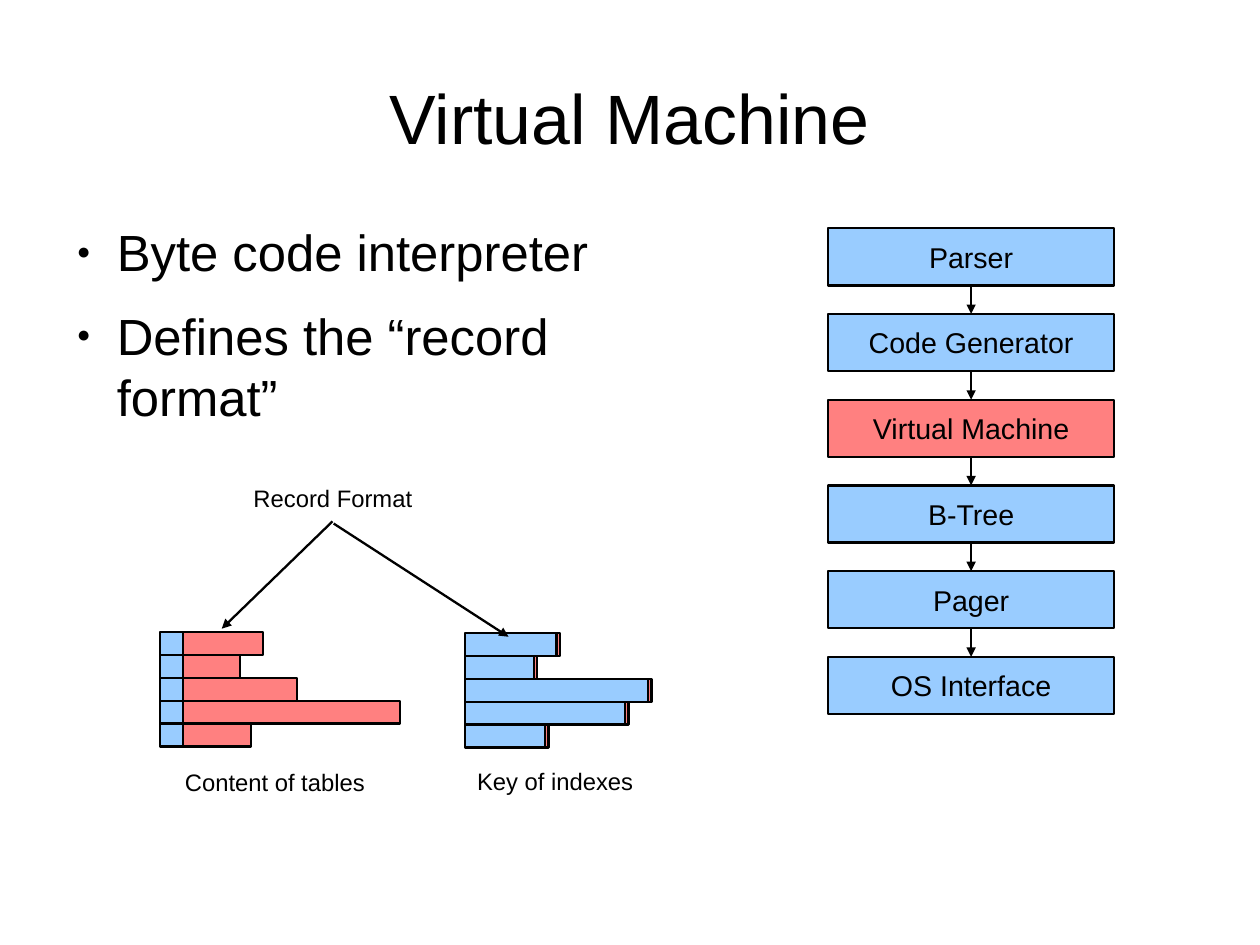
from lxml.etree import SubElement
from pptx import Presentation
from pptx.dml.color import RGBColor
from pptx.enum.shapes import MSO_CONNECTOR, MSO_SHAPE
from pptx.enum.text import MSO_ANCHOR, MSO_AUTO_SIZE, PP_ALIGN
from pptx.oxml.ns import qn
from pptx.util import Pt

COLORS = {"black": "000000", "blue": "99CCFF", "red": "FF8080", "white": "FFFFFF"}
LINE_WIDTH = 1.45
LAYERS = ["Parser", "Code Generator", "Virtual Machine", "B-Tree", "Pager", "OS Interface"]
ROW_HEIGHT = 14.4
TABLE_ROWS = [(14.4, data) for data in (50.4, 36, 72, 136.8, 43.2)]
INDEX_ROWS = [(key, 2.16) for key in (57.6, 43.2, 115.2, 100.8, 50.4)]


def rgb(name):
    return RGBColor.from_string(COLORS[name])


def set_frame(tf, margins, **formats):
    tf.margin_left = tf.margin_right = Pt(margins[0])
    tf.margin_top = tf.margin_bottom = Pt(margins[1])
    for name, value in formats.items():
        setattr(tf, name, value)


def write(p, text, size, align=PP_ALIGN.LEFT):
    p.alignment = align
    r = p.add_run()
    r.text = text
    for name, value in {"name": "Arial", "size": Pt(size)}.items():
        setattr(r.font, name, value)
    r.font.color.rgb = rgb("black")


def add_box(s, x, y, w, h, color):
    sp = s.shapes.add_shape(MSO_SHAPE.RECTANGLE, Pt(x), Pt(y), Pt(w), Pt(h))
    sp.shadow.inherit = False
    sp.fill.solid()
    sp.fill.fore_color.rgb = rgb(color)
    sp.line.color.rgb = rgb("black")
    sp.line.width = Pt(LINE_WIDTH)
    return sp


def add_arrow(s, x1, y1, x2, y2):
    line = s.shapes.add_connector(MSO_CONNECTOR.STRAIGHT, Pt(x1), Pt(y1), Pt(x2), Pt(y2))
    line.line.color.rgb = rgb("black")
    line.line.width = Pt(LINE_WIDTH)
    spPr = line._element.spPr
    SubElement(spPr.find(qn("a:ln")), qn("a:tailEnd"), type="triangle")
    SubElement(spPr, qn("a:effectLst"))


def add_label(s, text, x, y, w):
    tf = s.shapes.add_textbox(Pt(x), Pt(y), Pt(w), Pt(23.8)).text_frame
    set_frame(tf, (7.2, 3.6), word_wrap=False, auto_size=MSO_AUTO_SIZE.SHAPE_TO_FIT_TEXT)
    write(tf.paragraphs[0], text, 15)


def add_title(s, text, x, y, w, h):
    title = s.shapes.title
    for name, value in {"left": x, "top": y, "width": w, "height": h}.items():
        setattr(title, name, Pt(value))
    tf = title.text_frame
    set_frame(tf, (0, 0), word_wrap=True, vertical_anchor=MSO_ANCHOR.MIDDLE)
    write(tf.paragraphs[0], text, 44, PP_ALIGN.CENTER)


def add_bullets(s, items, x, y, w, h):
    tf = s.shapes.add_textbox(Pt(x), Pt(y), Pt(w), Pt(h)).text_frame
    set_frame(tf, (0, 0), word_wrap=True)
    for i, text in enumerate(items):
        p = tf.add_paragraph() if i else tf.paragraphs[0]
        p.space_after = Pt(14.2)
        pPr = p._p.get_or_add_pPr()
        pPr.set("marL", str(Pt(34)))
        pPr.set("indent", str(-Pt(25.2)))
        SubElement(SubElement(pPr, qn("a:buClr")), qn("a:srgbClr"), val=COLORS["black"])
        SubElement(pPr, qn("a:buSzPct"), val="45000")
        SubElement(pPr, qn("a:buFont"), typeface="Arial")
        SubElement(pPr, qn("a:buChar"), char="●")
        write(p, text, 32)


def add_records(s, rows, x, y):
    """Stack records, each a blue key followed by red data."""
    for i, (key, data) in enumerate(rows):
        top = y + i * ROW_HEIGHT
        add_box(s, x, top, key, ROW_HEIGHT, "blue")
        add_box(s, x + key, top, data, ROW_HEIGHT, "red")


def add_record_format(s, x, y):
    add_label(s, "Record Format", x + 51.8, y, 114.5)
    add_records(s, TABLE_ROWS, x, y + 97.2)
    add_records(s, INDEX_ROWS, x + 192.24, y + 97.9)
    add_arrow(s, x + 108.7, y + 27.4, x + 38.9, y + 95)
    add_arrow(s, x + 109.4, y + 28.8, x + 219.6, y + 100.1)
    add_label(s, "Content of tables", x + 8.6, y + 179.3, 128.2)
    add_label(s, "Key of indexes", x + 192.7, y + 178.2, 113)


def add_layer_stack(s, x, y, w, h, gap):
    for i, name in enumerate(LAYERS):
        top = y + i * (h + gap)
        sp = add_box(s, x, top, w, h, "red" if name == "Virtual Machine" else "blue")
        set_frame(sp.text_frame, (7.9, 4.3), word_wrap=True, vertical_anchor=MSO_ANCHOR.MIDDLE)
        write(sp.text_frame.paragraphs[0], name, 18, PP_ALIGN.CENTER)
        if i:
            add_arrow(s, x + w / 2, top - gap, x + w / 2, top)


def main():
    prs = Presentation()
    prs.slide_width, prs.slide_height = Pt(793.75), Pt(595.25)
    s = prs.slides.add_slide(prs.slide_layouts[5])
    s.background.fill.solid()
    s.background.fill.fore_color.rgb = rgb("white")
    add_title(s, "Virtual Machine", 39.6, 23.8, 714.2, 99.4)
    add_bullets(s, ["Byte code interpreter", "Defines the “record format”"], 39.6, 139, 348.5, 386)
    add_record_format(s, 100.8, 301)
    add_layer_stack(s, 521.8, 143.8, 180, 36, 18)
    prs.save("out.pptx")


if __name__ == "__main__":
    main()
